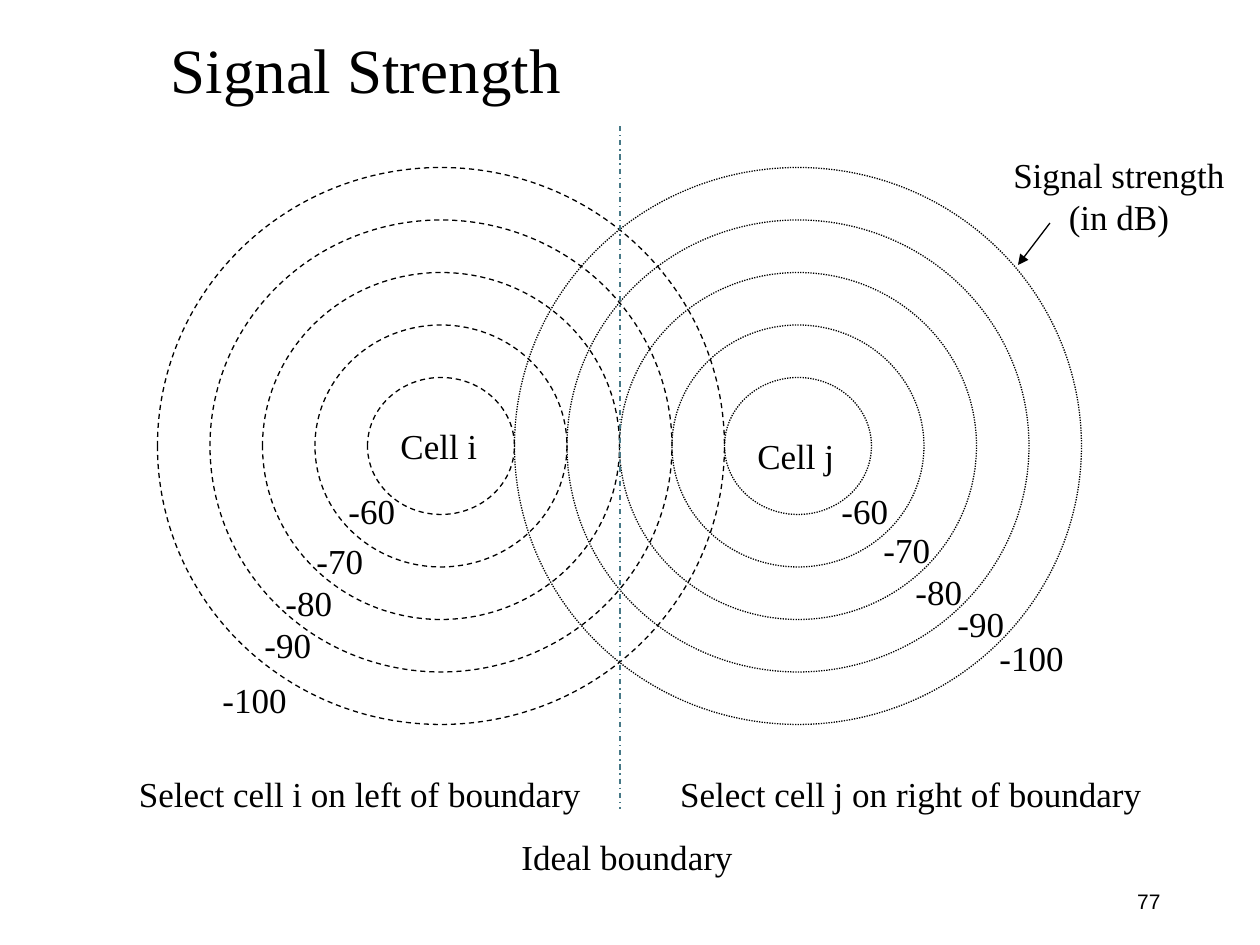
from lxml import etree
from pptx import Presentation
from pptx.dml.color import RGBColor
from pptx.enum.dml import MSO_LINE
from pptx.enum.shapes import MSO_CONNECTOR, MSO_SHAPE
from pptx.enum.text import MSO_ANCHOR, MSO_AUTO_SIZE, PP_ALIGN
from pptx.oxml.ns import qn
from pptx.util import Pt

BLACK = RGBColor(0x00, 0x00, 0x00)
BOUNDARY = RGBColor(0x46, 0x78, 0x86)
SERIF, SANS = "Times New Roman", "Arial"
LEFT, CENTER, RIGHT = PP_ALIGN.LEFT, PP_ALIGN.CENTER, PP_ALIGN.RIGHT
EMU_PER_PX = 914400 / 126

# Content: lengths in px
TITLE = ("Signal Strength", 158, 21, 1071, 105)
PAGE_NUMBER = ("77", 890, 876, 283, 50)

# Each cell: centre x of its rings and dash style
CELLS = [(441, MSO_LINE.DASH), (798, MSO_LINE.ROUND_DOT)]
CENTER_Y = 446
RING_COUNT, RING_W, RING_H, RING_STEP = 5, 147, 137, 105

# Text, left, top, width
CAPTIONS = [
    ("Select cell i on left of boundary", 105, 766, 510),
    ("Select cell j on right of boundary", 657, 766, 508),
    ("Ideal boundary", 498, 829, 258),
    ("Signal strength (in dB)", 998, 147, 242),
]
LABELS = [
    ("Cell i", 388, 418, 105),
    ("Cell j", 745, 428, 116),
    ("-60", 336, 483, 84),
    ("-70", 304, 533, 84),
    ("-80", 273, 575, 84),
    ("-90", 252, 617, 74),
    ("-100", 210, 672, 95),
    ("-60", 829, 483, 105),
    ("-70", 871, 522, 105),
    ("-80", 903, 564, 105),
    ("-90", 945, 596, 105),
    ("-100", 987, 630, 105),
]
LABEL_H = 54


def px(*values):
    return [round(v * EMU_PER_PX) for v in values]


def write(tf, text, size, font, align):
    tf.text = text
    tf.word_wrap = True
    tf.auto_size = MSO_AUTO_SIZE.NONE
    p = tf.paragraphs[0]
    p.alignment = align
    f = p.runs[0].font
    f.size, f.name = Pt(size), font
    f.color.rgb = BLACK
    return p


def add_text(text, x, y, w, h=LABEL_H, size=20, font=SERIF, align=LEFT):
    tf = slide.shapes.add_textbox(*px(x, y, w, h)).text_frame
    write(tf, text, size, font, align)
    return tf


def add_ring(cx, cy, w, h, dash):
    s = slide.shapes.add_shape(
        MSO_SHAPE.OVAL, *px(cx - w / 2, cy - h / 2, w, h))
    s.shadow.inherit = False
    s.fill.background()
    s.line.color.rgb = BLACK
    s.line.width = Pt(0.75)
    s.line.dash_style = dash


def add_line(x1, y1, x2, y2, color):
    c = slide.shapes.add_connector(
        MSO_CONNECTOR.STRAIGHT, *px(x1, y1, x2, y2))
    c.line.color.rgb = color
    c.line.width = Pt(0.75)
    etree.SubElement(c._element.spPr, qn("a:effectLst"))
    return c.line


prs = Presentation()
prs.slide_width, prs.slide_height = px(1260, 945)
slide = prs.slides.add_slide(prs.slide_layouts[5])

# Title
title = slide.shapes.title
title.left, title.top, title.width, title.height = px(*TITLE[1:])
title.text_frame.vertical_anchor = MSO_ANCHOR.MIDDLE
write(title.text_frame, TITLE[0], 36, SERIF, LEFT).line_spacing = 0.9

# Page number
tf = add_text(*PAGE_NUMBER, size=12, font=SANS, align=RIGHT)
tf.vertical_anchor = MSO_ANCHOR.MIDDLE

# Concentric signal rings
for cx, dash in CELLS:
    for i in range(RING_COUNT):
        grow = i * RING_STEP
        add_ring(cx, CENTER_Y, RING_W + grow, RING_H + grow, dash)

# Boundary between the cells
add_line(620, 126, 620, 809, BOUNDARY).dash_style = MSO_LINE.DASH_DOT

# Captions and ring labels
for caption in CAPTIONS:
    add_text(*caption, align=CENTER)
for label in LABELS:
    add_text(*label)

# Arrow from the signal strength caption to the outer ring
arrow = add_line(1050, 223, 1018, 265, BLACK)
etree.SubElement(arrow._get_or_add_ln(), qn("a:tailEnd"), type="triangle")

prs.save("out.pptx")
